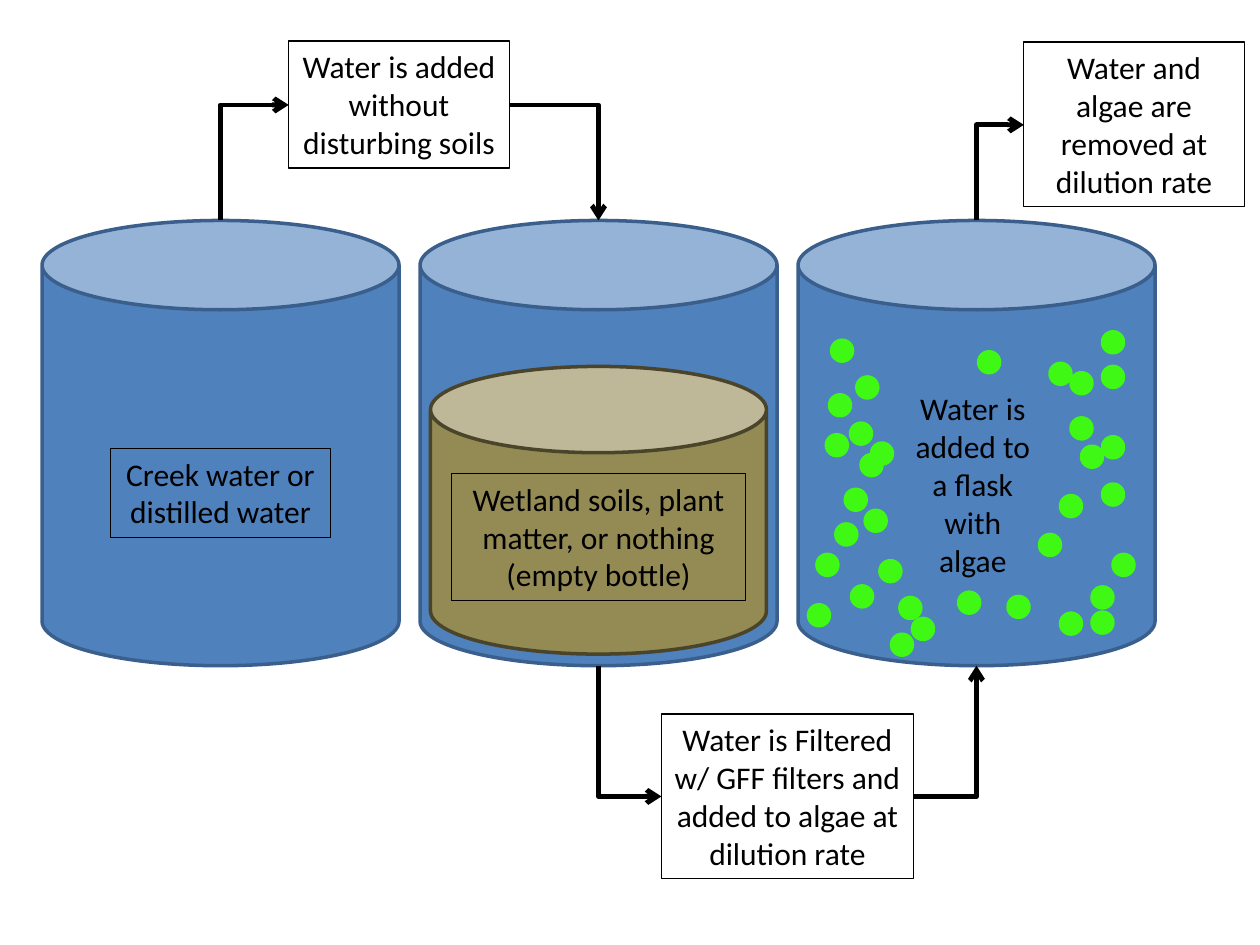
import pptx
import pptx.util
import pptx.dml.color
import pptx.enum.shapes
import pptx.enum.text
import pptx.oxml
import pptx.oxml.ns

COLORS = {"water": "4F81BD", "water_edge": "3A5F8C", "soil": "948A54",
          "soil_edge": "4A452A", "algae": "3FF814", "ink": "000000"}
SHAPES = pptx.enum.shapes.MSO_SHAPE
COLS, ROWS = 120, 90
CELL = pptx.util.Inches(10) // COLS
CAN_W, CAN_H, CAN_TOP, PITCH = 34, 42.4, 21, 36
DOT = 2
FRAME = {"word_wrap": True,
         "auto_size": pptx.enum.text.MSO_AUTO_SIZE.SHAPE_TO_FIT_TEXT,
         "vertical_anchor": pptx.enum.text.MSO_ANCHOR.TOP}
FONT = {"name": "Calibri", "size": pptx.util.Pt(18)}
ALGAE = [
    (5, 19.3), (2.7, 20.4), (6, 22.3), (5.6, 14.9), (25, 26.2), (7.8, 32.4),
    (29, 25.1), (9.7, 35.9), (28, 34.9), (25, 37.4), (29, 13.9), (3.6, 28.9),
    (17.2, 12.5), (1, 36.6), (7, 21.2), (24, 13.6), (29, 10.6), (27, 21.5),
    (28, 37.3), (26, 18.8), (23, 29.9), (29, 20.6), (30, 31.8), (8.9, 39.4),
    (5.1, 34.8), (3.2, 11.4), (26, 14.5), (1.8, 31.8), (4.5, 25.6),
    (6.4, 27.6), (3, 16.6), (20, 35.8), (10.9, 37.9), (15.3, 35.4)]


def cells(*values):
    """Convert grid cells to slide lengths."""
    return [pptx.util.Emu(round(v * CELL)) for v in values]


def rgb(name):
    """Look up a named colour."""
    return pptx.dml.color.RGBColor.from_string(COLORS[name])


def apply(target, values):
    """Set attributes from a dict of format values."""
    for name, value in values.items():
        setattr(target, name, value)


def add_shape(shapes, kind, box, fill, edge, width):
    """Add a preset shape with its fill and outline."""
    sp = shapes.add_shape(kind, *cells(*box))
    sp.shadow.inherit = False
    if fill:
        sp.fill.solid()
        sp.fill.fore_color.rgb = rgb(fill)
    else:
        sp.fill.background()
    sp.line.color.rgb = rgb(edge)
    sp.line.width = pptx.util.Pt(width)
    return sp


def write(sp, text):
    """Write centred body text into a shape."""
    tf = sp.text_frame
    apply(tf, FRAME)
    p = tf.paragraphs[0]
    p.alignment = pptx.enum.text.PP_ALIGN.CENTER
    r = p.add_run()
    r.text = text
    apply(r.font, FONT)
    r.font.color.rgb = rgb("ink")


def add_note(shapes, box, text):
    """Add a thin framed note."""
    write(add_shape(shapes, SHAPES.RECTANGLE, box, None, "ink", 0.75), text)


def add_tank(shapes, x, y):
    """Add a water tank with its top left corner at x, y."""
    add_shape(shapes, SHAPES.CAN, (x, y, CAN_W, CAN_H), "water", "water_edge", 2)


def add_source(shapes, x, y):
    """Add the source water tank."""
    add_tank(shapes, x, y)
    add_note(shapes, (x + 6.5, y + 21.7, 21, 8.5), "Creek water or distilled water")


def add_bottle(shapes, x, y):
    """Add the tank that holds the soils."""
    group = shapes.add_group_shape().shapes
    add_tank(group, x, y)
    soil = add_shape(group, SHAPES.CAN, (x + 1, y + 13.9, 32, 27.4),
                     "soil", "soil_edge", 2)
    soil.adjustments[0] = 0.3
    add_note(group, (x + 3, y + 24.1, 28, 12.1),
             "Wetland soils, plant matter, or nothing (empty bottle)")


def add_flask(shapes, x, y):
    """Add the tank with algae."""
    group = shapes.add_group_shape().shapes
    add_tank(group, x, y)
    for dx, dy in ALGAE:
        add_shape(group, SHAPES.OVAL, (x + dx, y + dy, DOT, DOT),
                  "algae", "algae", 2)
    label = group.add_textbox(*cells(x + 9.8, y + 15.5, 13.7, 19.4))
    write(label, "Water is added to a flask with algae")


def add_arrow(shapes, start, end, upright):
    """Add a one-bend arrow that leaves start upright or level."""
    (x1, y1), (x2, y2) = start, end
    rot = 0
    if upright:
        cx, cy = (x1 + x2) / 2, (y1 + y2) / 2
        half_w, half_h = abs(y2 - y1) / 2, (x2 - x1) / 2
        sign = 1 if y2 > y1 else -1
        rot = 270 if y2 > y1 else 90
        x1, x2 = cx + half_w, cx - half_w
        y1, y2 = cy - sign * half_h, cy + sign * half_h
    c = shapes.add_connector(pptx.enum.shapes.MSO_CONNECTOR.ELBOW,
                             *cells(x1, y1, x2, y2))
    c.line.color.rgb = rgb("ink")
    c.line.width = pptx.util.Pt(2.75)
    props = c._element.spPr
    qn = pptx.oxml.ns.qn
    props.find(qn("a:xfrm")).set("rot", str(rot * 60000))
    props.find(qn("a:prstGeom")).set("prst", "bentConnector2")
    ns = pptx.oxml.ns.nsdecls("a")
    c.line._get_or_add_ln().append(
        pptx.oxml.parse_xml(f'<a:tailEnd {ns} type="arrow"/>'))
    props.append(pptx.oxml.parse_xml(f"<a:effectLst {ns}/>"))


def add_flow(shapes, left):
    """Add the notes and arrows that link the tanks."""
    source, bottle, flask = (left + CAN_W / 2 + i * PITCH for i in range(3))
    top, bottom = CAN_TOP, CAN_TOP + CAN_H
    added, filtered, removed = 10, 75.85, 11.9
    add_arrow(shapes, (source, top), (27.5, added), True)
    add_arrow(shapes, (48.5, added), (bottle, top), False)
    add_arrow(shapes, (bottle, bottom), (63, filtered), True)
    add_arrow(shapes, (87, filtered), (flask, bottom), False)
    add_arrow(shapes, (flask, top), (97.5, removed), True)
    add_note(shapes, (27.5, 3.9, 21, 12.1),
             "Water is added without disturbing soils")
    add_note(shapes, (63, 68, 24, 15.7),
             "Water is Filtered w/ GFF filters and added to algae at dilution rate")
    add_note(shapes, (97.5, 4, 21, 15.7),
             "Water and algae are removed at dilution rate")


def main():
    """Build and save the slide."""
    prs = pptx.Presentation()
    prs.slide_width, prs.slide_height = cells(COLS, ROWS)
    shapes = prs.slides.add_slide(prs.slide_layouts[6]).shapes
    left = 4
    for i, add in enumerate((add_source, add_bottle, add_flask)):
        add(shapes, left + i * PITCH, CAN_TOP)
    add_flow(shapes, left)
    prs.save("out.pptx")


main()
